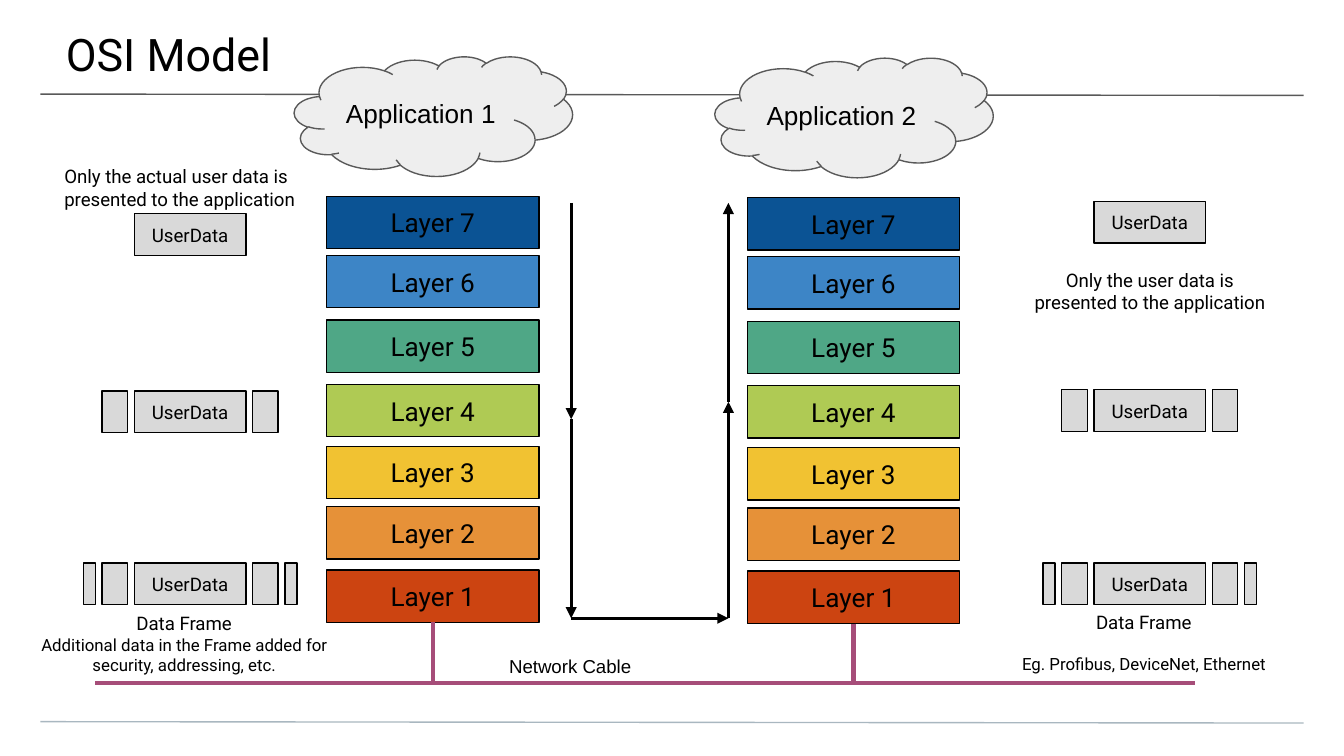
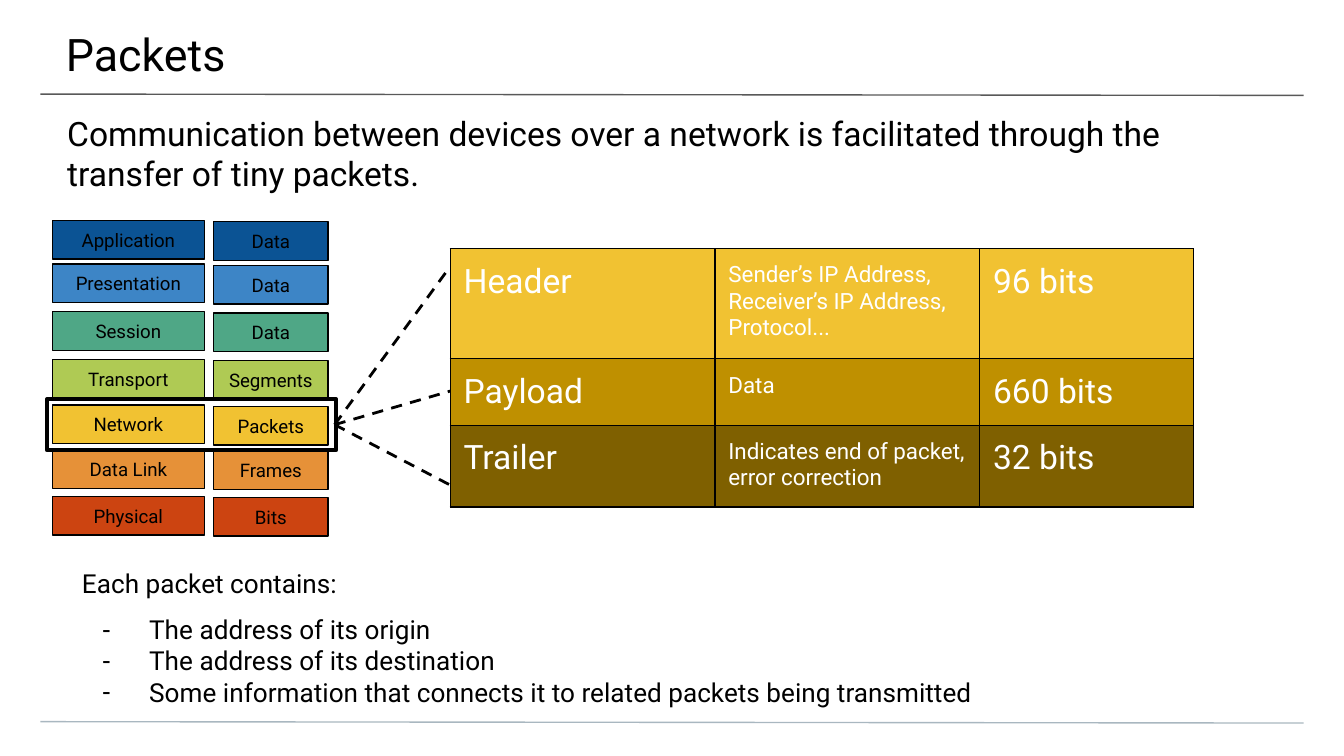
from itertools import pairwise

from pptx import Presentation
from pptx.dml.color import RGBColor as Rgb
from pptx.enum.dml import MSO_LINE as Dash
from pptx.enum.shapes import MSO_CONNECTOR as Conn, MSO_SHAPE as Form
from pptx.enum.text import MSO_ANCHOR as Anchor, MSO_AUTO_SIZE as Auto, PP_ALIGN as Align
from pptx.oxml.ns import qn
from pptx.oxml.xmlchemy import OxmlElement as Node
from pptx.util import Inches, Pt

# Square grid: ten columns across a 16:9 slide, lengths in columns
WIDTH = Inches(10)
HEIGHT = WIDTH * 9 // 16
COL = WIDTH / 10

BLACK = Rgb(0x00, 0x00, 0x00)
WHITE = Rgb(0xFF, 0xFF, 0xFF)
RULE = Rgb(0x59, 0x59, 0x59)
FOOT = Rgb(0xA9, 0xB7, 0xC0)
CLOUD = Rgb(0xEE, 0xEE, 0xEE)
GREY = Rgb(0xD9, 0xD9, 0xD9)
CABLE = Rgb(0xA6, 0x4D, 0x79)
GOLD = Rgb(0xF1, 0xC2, 0x32)
OCHRE = Rgb(0xBF, 0x90, 0x00)
BROWN = Rgb(0x7F, 0x60, 0x00)
# The seven layers, top to bottom
LAYERS = (
    Rgb(0x0B, 0x53, 0x94), Rgb(0x3D, 0x85, 0xC6), Rgb(0x4F, 0xA7, 0x86),
    Rgb(0xAF, 0xCA, 0x54), GOLD, Rgb(0xE6, 0x91, 0x38), Rgb(0xCC, 0x44, 0x11),
)
# Layer tops, layer height and full height of a stack, in stack units
TOPS = (0, 0.44, 0.92, 1.4, 1.86, 2.31, 2.78)
THICK, STACK = 0.39, 3.17

FONT = "Roboto"
PAD = (0.1, 0.1, 0.1, 0.1)


def span(*cols):
    """Grid columns to slide lengths."""
    return [round(c * COL) for c in cols]


# ---- Text ----
def write(frame, lines, size, align=Align.LEFT, color=BLACK, font=FONT):
    """Fill a frame; a line is a text or a (text, size, space before)."""
    for i, line in enumerate(lines):
        text, pts, gap = line if isinstance(line, tuple) else (line, size, 0)
        para = frame.paragraphs[0] if i == 0 else frame.add_paragraph()
        para.alignment = align
        para.space_before = Pt(gap)
        run = para.add_run()
        run.text = text
        run.font.size = Pt(pts)
        run.font.name = font
        run.font.color.rgb = color


def setup(frame, pad=PAD, anchor=Anchor.TOP):
    frame.word_wrap = True
    frame.auto_size = Auto.NONE
    frame.vertical_anchor = anchor
    (frame.margin_left, frame.margin_top,
     frame.margin_right, frame.margin_bottom) = span(*pad)
    return frame


def note(slide, box, lines, size, anchor=Anchor.TOP, **look):
    area = slide.shapes.add_textbox(*span(*box))
    write(setup(area.text_frame, anchor=anchor), lines, size, **look)


def fit(holder, box, pad):
    """Move a placeholder and return its frame."""
    holder.left, holder.top, holder.width, holder.height = span(*box)
    return setup(holder.text_frame, pad)


def mark(para, sign=None, left=0, hang=0):
    """Set the bullet sign and indent of a paragraph."""
    props = para._p.get_or_add_pPr()
    props.set("marL", str(span(left)[0]))
    props.set("indent", str(span(hang)[0]))
    bullet = Node("a:buChar" if sign else "a:buNone")
    if sign:
        bullet.set("char", sign)
    props.append(bullet)


# ---- Shapes ----
def block(slide, box, fill=None, text=None, size=10, form=Form.RECTANGLE,
          edge=BLACK, weight=0.75, align=Align.CENTER, font=FONT):
    shape = slide.shapes.add_shape(form, *span(*box))
    shape.shadow.inherit = False
    if fill is None:
        shape.fill.background()
    else:
        shape.fill.solid()
        shape.fill.fore_color.rgb = fill
    shape.line.color.rgb = edge
    shape.line.width = Pt(weight)
    if text:
        write(setup(shape.text_frame, anchor=Anchor.MIDDLE), [text], size, align, font=font)


def line(slide, start, end, color=BLACK, weight=1.5, dash=None, arrow=False):
    link = slide.shapes.add_connector(Conn.STRAIGHT, *span(*start, *end))
    link.line.color.rgb = color
    link.line.width = Pt(weight)
    if dash:
        link.line.dash_style = dash
    props = link.element.spPr
    if arrow:
        head = Node("a:tailEnd")
        head.set("type", "triangle")
        props.find(qn("a:ln")).append(head)
    props.append(Node("a:effectLst"))
    return link


def stack(slide, box, names, size):
    """Seven coloured layers, scaled to the box."""
    x, y, w, h = box
    unit = h / STACK
    for top, fill, name in zip(TOPS, LAYERS, names):
        block(slide, (x, y + top * unit, w, THICK * unit), fill, name, size)


# ---- Shared parts ----
def rules(deck, slide):
    """Draw the two rules and hand them to the master."""
    for y, color in ((0.7, RULE), (5.37, FOOT)):
        link = line(slide, (0.3, y), (9.7, y + 0.01), color, 0.75)
        deck.slide_master.shapes.element.append(link.element)


def start(deck, layout, title):
    slide = deck.slides.add_slide(deck.slide_layouts.get_by_name(layout))
    frame = fit(slide.shapes.title, (-0.01, 0, 10.03, 0.58), (0.5, 0.2, 0.3, 0.1))
    write(frame, [title], 24)
    return slide


# ---- OSI model ----
def host(slide, box, name):
    """Cloud, layer stack and drop to the cable at the foot of the box."""
    x, y, w, h = box
    block(slide, (x, y, w, 0.89), CLOUD, name, 14, Form.CLOUD, RULE,
          align=Align.LEFT, font="Arial")
    top, mid = y + 1.04, x + 1.03
    stack(slide, (x + 0.24, top, 1.58, STACK), [f"Layer {n}" for n in range(7, 0, -1)], 14)
    line(slide, (mid, top + STACK), (mid, y + h), CABLE, 2.25)


def route(slide, box):
    """Arrows down, across and up again."""
    x, y, w, h = box
    stops = [(x, y), (x, y + 1.61), (x, y + h),
             (x + w, y + h), (x + w, y + 1.48), (x + w, y)]
    for a, b in pairwise(stops):
        line(slide, a, b, arrow=True)


def frames(slide, x, tops):
    """User data that gains a pair of wings at each level."""
    wings, gap, high, core = (0.19, 0.09), 0.05, 0.31, 0.83
    for level, y in enumerate(tops):
        block(slide, (x, y, core, high), GREY, "UserData")
        left, right = x, x + core
        for w in wings[:level]:
            left -= gap + w
            block(slide, (left, y, w, high), GREY)
            block(slide, (right + gap, y, w, high), GREY)
            right += gap + w


def model(deck):
    slide = start(deck, "Title Only", "OSI Model")
    rules(deck, slide)
    host(slide, (2.19, 0.42, 2.07, 4.66), "Application 1")
    host(slide, (5.32, 0.43, 2.07, 4.65), "Application 2")
    route(slide, (4.25, 1.51, 1.17, 3.09))
    line(slide, (0.71, 5.08), (8.89, 5.08), CABLE, 2.25)
    frames(slide, 1, (1.59, 2.91, 4.19))
    frames(slide, 8.14, (1.5, 2.9, 4.19))
    # Captions
    mid = {"anchor": Anchor.MIDDLE, "align": Align.CENTER}
    note(slide, (0, 4.59, 2.74, 0.4), [
        "Data Frame",
        ("Additional data in the Frame added for security, addressing, etc.", 9, 0),
    ], 10, **mid)
    note(slide, (7.14, 4.58, 2.74, 0.4), [
        "Data Frame", ("Eg. Profibus, DeviceNet, Ethernet", 9, 10.5),
    ], 10, **mid)
    note(slide, (0.38, 1.13, 2.05, 0.39),
         ["Only the actual user data is presented to the application"], 10)
    note(slide, (7.53, 1.9, 2.05, 0.39),
         ["Only the user data is presented to the application"], 10, align=Align.CENTER)
    note(slide, (3.69, 4.77, 2.24, 0.31), ["Network Cable"], 10, font="Arial")


# ---- Packets ----
def border(cell):
    props = cell._tc.get_or_add_tcPr()
    for i, side in enumerate(("a:lnL", "a:lnR", "a:lnT", "a:lnB")):
        edge, fill, color = Node(side), Node("a:solidFill"), Node("a:srgbClr")
        edge.set("w", str(Pt(0.75)))
        color.set("val", str(BLACK))
        fill.append(color)
        edge.append(fill)
        props.insert(i, edge)


def grid(slide, x, y):
    """Table of the parts of a packet."""
    cols, rows = (1.97, 1.97, 1.59), (0.82, 0.48, 0.61)
    parts = (
        (GOLD, ["Header"],
         ["Sender’s IP Address,", "Receiver’s IP Address,", "Protocol..."], ["96 bits"]),
        (OCHRE, ["Payload"], ["Data"], ["660 bits"]),
        (BROWN, ["Trailer"], ["Indicates end of packet, error correction"], ["32 bits"]),
    )
    table = slide.shapes.add_table(3, 3, *span(x, y, sum(cols), sum(rows))).table
    table.first_row = table.horz_banding = False
    for col, w in zip(table.columns, span(*cols)):
        col.width = w
    for row, h, (fill, *texts) in zip(table.rows, span(*rows), parts):
        row.height = h
        for cell, lines, size in zip(row.cells, texts, (18, 12, 18)):
            cell.fill.solid()
            cell.fill.fore_color.rgb = fill
            (cell.margin_left, cell.margin_top,
             cell.margin_right, cell.margin_bottom) = span(*PAD)
            write(cell.text_frame, lines, size, color=WHITE)
            border(cell)


def layers(slide, box):
    """Layer names beside their data units, with Network framed."""
    x, y, w, h = box
    stack(slide, (x, y, 1.13, h), ("Application", "Presentation", "Session", "Transport",
                                   "Network", "Data Link", "Physical"), 10)
    stack(slide, (x + 1.2, y + 0.01, w - 1.2, h),
          ("Data", "Data", "Data", "Segments", "Packets", "Frames", "Bits"), 10)
    block(slide, (x - 0.04, y + 1.33, w + 0.1, 0.38), weight=2.25)


def packets(deck):
    slide = start(deck, "Two Content", "Packets")
    intro, items = list(slide.placeholders)[1:]
    # Lead sentence
    frame = fit(intro, (0, 0.74, 10, 0.4), (0.5, 0.1, 0.5, 0))
    mark(frame.paragraphs[0])
    write(frame, ["Communication between devices over a network is facilitated "
                  "through the transfer of tiny packets."], 18)
    # Layers, packet table and the lines between them
    layers(slide, (0.39, 1.64, 2.05, 2.34))
    grid(slide, 3.35, 1.85)
    for end in ((3.33, 2.01), (3.35, 2.91), (3.37, 3.62)):
        line(slide, (2.49, 3.16), end, dash=Dash.DASH)
    # Contents list
    frame = fit(items, (0.51, 4.12, 8.26, 1.43), PAD)
    write(frame, [
        "Each packet contains:",
        ("The address of its origin", 14, 8),
        "The address of its destination",
        "Some information that connects it to related packets being transmitted",
    ], 14)
    lead, *points = frame.paragraphs
    mark(lead)
    for para in points:
        mark(para, "-", 0.5, -0.35)


def main():
    deck = Presentation()
    deck.slide_width, deck.slide_height = WIDTH, HEIGHT
    model(deck)
    packets(deck)
    deck.save("out.pptx")


if __name__ == "__main__":
    main()
